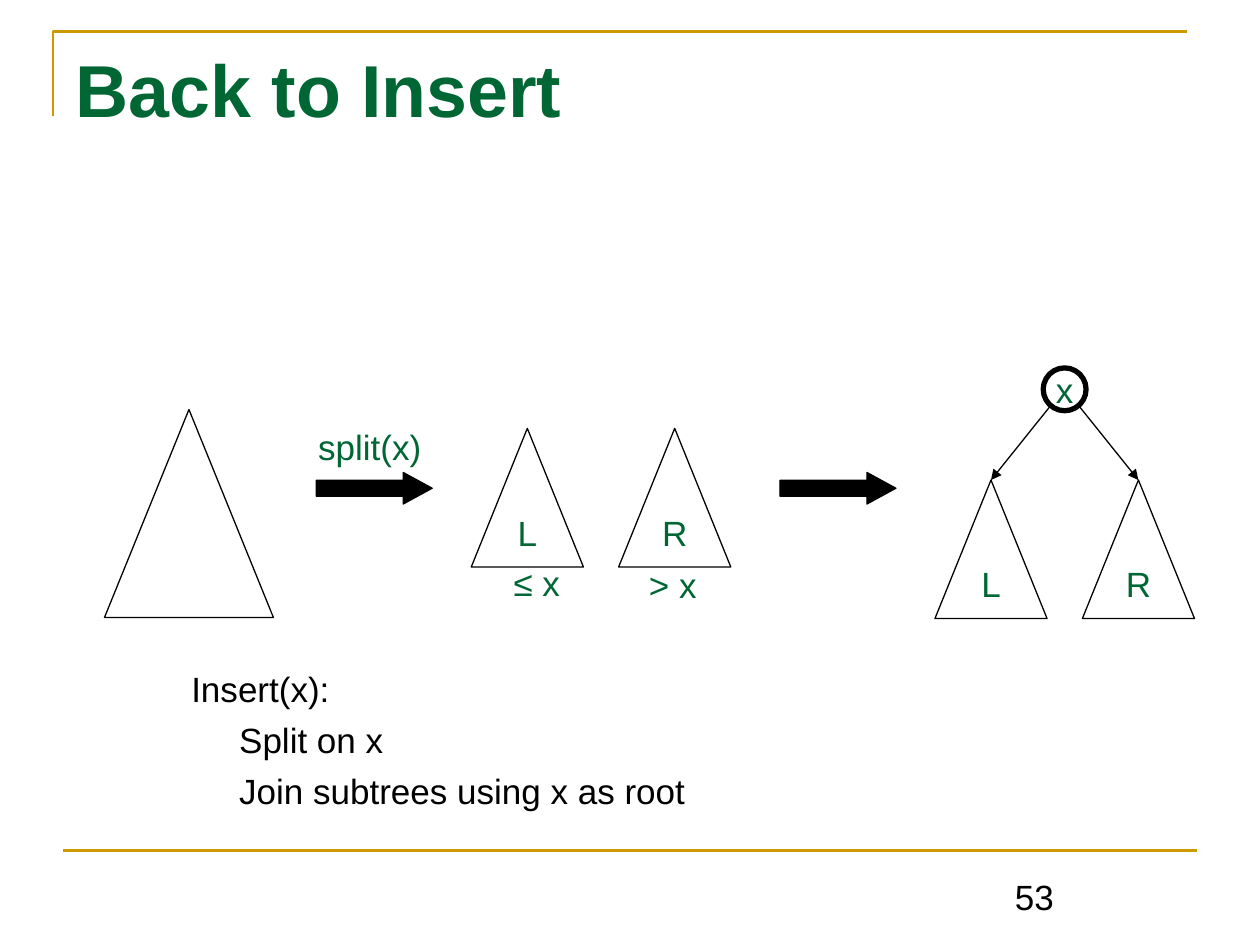
import pptx
import pptx.util
import pptx.dml.color
import pptx.enum.shapes
import pptx.enum.text
import lxml.etree
from pptx.oxml.ns import qn

Inches, Pt = pptx.util.Inches, pptx.util.Pt
KIND = pptx.enum.shapes.MSO_SHAPE
ALIGN = pptx.enum.text.PP_ALIGN
ANCHOR = pptx.enum.text.MSO_ANCHOR

# Content
COLORS = {"gold": "CC9900", "green": "006633", "black": "000000"}
TITLE = "Back to Insert"
PAGE = "53"
STEPS = [("Insert(x):", 0), ("Split on x", 0.38),
         ("Join subtrees using x as root", 0.38)]
LABELS = [("split(x)", 2.42, 3.33, 1.03), ("≤ x", 3.97, 4.41, 0.58),
          ("> x", 5.05, 4.42, 0.58)]
ARROWS = [2.51, 6.19]
PAIRS = [(3.74, 3.4), (7.42, 3.81)]  # left and top of each L, R pair
TREE_W, TREE_H, STEP = 0.89, 1.1, 1.17
NODE = 0.34

deck = pptx.Presentation()
deck.slide_width, deck.slide_height = Inches(10), Inches(7.5)
slide = deck.slides.add_slide(deck.slide_layouts[5])
shapes = slide.shapes


def color(name):
    return pptx.dml.color.RGBColor.from_string(COLORS[name])


def box(*sides):
    return [Inches(side) for side in sides]


def write(shape, rows, size=20, ink="green", bold=False, align=ALIGN.CENTER,
          anchor=ANCHOR.TOP, wrap=False, gap=0):
    """Fill a shape with rows of (text, left indent)."""
    frame = shape.text_frame
    frame.word_wrap, frame.vertical_anchor = wrap, anchor
    frame.auto_size = pptx.enum.text.MSO_AUTO_SIZE.NONE
    frame.margin_left = frame.margin_right = Inches(0.1)
    frame.margin_top = frame.margin_bottom = Inches(0.05)
    for i, (text, indent) in enumerate(rows):
        par = frame.paragraphs[0] if i == 0 else frame.add_paragraph()
        par.alignment, par.space_before = align, Pt(gap)
        if indent:
            par._p.get_or_add_pPr().set("marL", str(Inches(indent)))
        run = par.add_run()
        run.text = text
        font = run.font
        font.name, font.size, font.bold = "Arial", Pt(size), bold
        font.color.rgb = color(ink)


def draw(kind, x, y, w, h, text="", fill=None, width=0.75):
    shape = shapes.add_shape(kind, *box(x, y, w, h))
    shape.shadow.inherit = False
    if fill:
        shape.fill.solid()
        shape.fill.fore_color.rgb = color(fill)
    else:
        shape.fill.background()
    shape.line.color.rgb = color("black")
    shape.line.width = Pt(width)
    if text:
        write(shape, [(text, 0)], anchor=ANCHOR.MIDDLE)
    return shape


def join(x1, y1, x2, y2, ink="black", width=0.75, head=False):
    line = shapes.add_connector(pptx.enum.shapes.MSO_CONNECTOR.STRAIGHT,
                                *box(x1, y1, x2, y2))
    line.line.color.rgb = color(ink)
    line.line.width = Pt(width)
    if head:
        edge = line.line._get_or_add_ln()
        lxml.etree.SubElement(edge, qn("a:tailEnd"), type="triangle")
    lxml.etree.SubElement(line._element.spPr, qn("a:effectLst"))


def note(rows, x, y, w, h, **style):
    write(shapes.add_textbox(*box(x, y, w, h)), rows, **style)


# Gold frame: corner at the top, rule at the bottom
path = shapes.build_freeform(Inches(0.42), Inches(0.92), scale=1.0)
path.add_line_segments([box(0.42, 0.25), box(9.42, 0.25)], close=False)
corner = path.convert_to_shape()
corner.shadow.inherit = False
corner.fill.background()
corner.line.color.rgb = color("gold")
corner.line.width = Pt(1.5)
join(0.5, 6.75, 9.5, 6.75, ink="gold", width=1.5)

# Title and page number
title = shapes.title
title.left, title.top, title.width, title.height = box(0.5, 0.3, 9, 1.25)
write(title, [(TITLE, 0)], size=42, bold=True, align=ALIGN.LEFT, wrap=True)
note([(PAGE, 0)], 7.17, 6.83, 2.08, 0.5, ink="black",
     anchor=ANCHOR.BOTTOM, wrap=True)

# Whole tree, then the block arrows between stages
draw(KIND.ISOSCELES_TRIANGLE, 0.83, 3.25, 1.34, 1.65)
for x in ARROWS:
    arrow = draw(KIND.RIGHT_ARROW, x, 3.75, 0.92, 0.25, fill="black")
    arrow.adjustments[1] = 0.917

# Subtrees after the split and after the join
for left, top in PAIRS:
    for i, name in enumerate("LR"):
        draw(KIND.ISOSCELES_TRIANGLE, left + i * STEP, top,
             TREE_W, TREE_H, name)

# New root, linked to the tips of the last pair
mid = left + (TREE_W + STEP) / 2
draw(KIND.OVAL, mid - NODE / 2, 2.92, NODE, NODE, "x", width=3)
for side in (-1, 1):
    join(mid + side * 0.12, 3.23, mid + side * STEP / 2, top, head=True)

# Labels and steps
for text, x, y, w in LABELS:
    note([(text, 0)], x, y, w, 0.44)
note(STEPS, 1.42, 5.25, 6.5, 1.83, ink="black", align=ALIGN.LEFT,
     wrap=True, gap=5)

deck.save("out.pptx")
